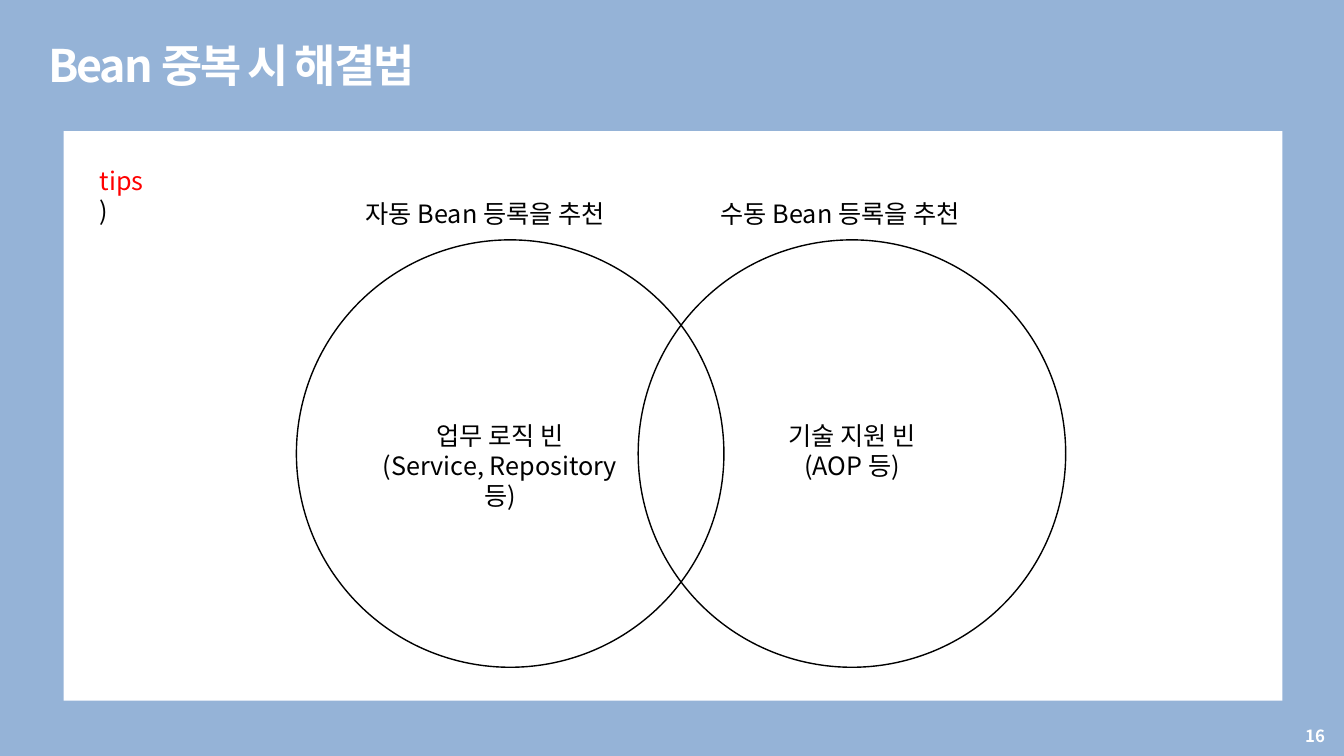
import pptx
import pptx.util
import pptx.dml.color
import pptx.enum.shapes
import pptx.enum.text
import lxml.etree
from pptx.util import Inches

RGBColor = pptx.dml.color.RGBColor
BLUE = RGBColor(0x95, 0xB3, 0xD7)
WHITE = RGBColor(255, 255, 255)
BLACK = RGBColor(0, 0, 0)
RED = RGBColor(255, 0, 0)
FACE = "Noto Sans CJK KR"
BODY = {"size": pptx.util.Pt(18), "name": FACE}
HEAD = {"size": pptx.util.Pt(32), "name": FACE, "bold": True}
PAGE = {"size": pptx.util.Pt(12), "name": FACE, "bold": True}
ALIGN = pptx.enum.text.PP_ALIGN
ANCHOR = pptx.enum.text.MSO_ANCHOR
FIT = pptx.enum.text.MSO_AUTO_SIZE
SHAPE = pptx.enum.shapes.MSO_SHAPE


def add_text(slide, box, lines, font=BODY, align=ALIGN.LEFT, frame=None):
    """Write lines, each a list of (text, colour) runs, in a box."""
    text = slide.shapes.add_textbox(*map(Inches, box)).text_frame
    for key, value in {"word_wrap": True, **(frame or {})}.items():
        setattr(text, key, value)
    for i, line in enumerate(lines):
        para = text.paragraphs[0] if i == 0 else text.add_paragraph()
        para.alignment = align
        for words, color in line:
            run = para.add_run()
            run.text = words
            for key, value in font.items():
                setattr(run.font, key, value)
            run.font.color.rgb = color
            east = lxml.etree.SubElement(
                run.font._element, pptx.oxml.ns.qn("a:ea"))
            east.set("typeface", FACE)
    return text


def add_form(slide, kind, box, fill=None, line=None):
    """Draw a flat preset shape with an optional fill and line."""
    form = slide.shapes.add_shape(kind, *map(Inches, box))
    form.shadow.inherit = False
    for part, color in ((form.fill, fill), (form.line.fill, line)):
        if color is None:
            part.background()
        else:
            part.solid()
            part.fore_color.rgb = color
    if line is not None:
        form.line.width = pptx.util.Pt(1)


def add_head(slide, box):
    """Place the title on one line, with tight letter spacing."""
    text = add_text(slide, box, [[("Bean 중복 시 해결법", WHITE)]], HEAD)
    text.paragraphs[0].runs[0].font._element.set("spc", "-150")


def add_page(slide, box):
    """Place the page number at the right of its box."""
    add_text(slide, box, [[("16", WHITE)]], PAGE, ALIGN.RIGHT,
             {"vertical_anchor": ANCHOR.MIDDLE})


def add_venn(slide, box):
    """Draw the two overlapping bean circles with labels in a panel."""
    left, top, width, height = box
    add_form(slide, SHAPE.RECTANGLE, box, fill=WHITE)
    size, step = 4.24, 3.39
    grow = {"auto_size": FIT.SHAPE_TO_FIT_TEXT}
    sides = [
        ("자동 Bean 등록을 추천", 2.9,
         ("업무 로직 빈", "(Service, Repository 등)"), 2.9, 2.86),
        ("수동 Bean 등록을 추천", 6.42,
         ("기술 지원 빈", "(AOP 등)"), 7, 1.64),
    ]
    for i, (label, start, lines, inset, wide) in enumerate(sides):
        add_form(slide, SHAPE.OVAL,
                 (left + 2.31 + i * step, top + 1.08, size, size), line=BLACK)
        add_text(slide, (left + start, top + 0.62, 2.8, 0.4),
                 [[(label, BLACK)]], frame=grow)
        add_text(slide, (left + inset, top + 2.82, wide, 0.71),
                 [[(line, BLACK)] for line in lines],
                 align=ALIGN.CENTER, frame=grow)
    add_text(slide, (left + 0.26, top + 0.29, 0.69, 0.4),
             [[("tips", RED), (")", BLACK)]], frame=grow)


deck = pptx.Presentation()
deck.slide_width, deck.slide_height = Inches(13.33), Inches(7.5)
slide = deck.slides.add_slide(deck.slide_layouts[6])
slide.background.fill.solid()
slide.background.fill.fore_color.rgb = BLUE
add_head(slide, (0.38, 0.33, 4.5, 0.5))
add_page(slide, (10.13, 7.1, 3.11, 0.4))
add_venn(slide, (0.63, 1.3, 12.09, 5.65))
deck.save("out.pptx")
